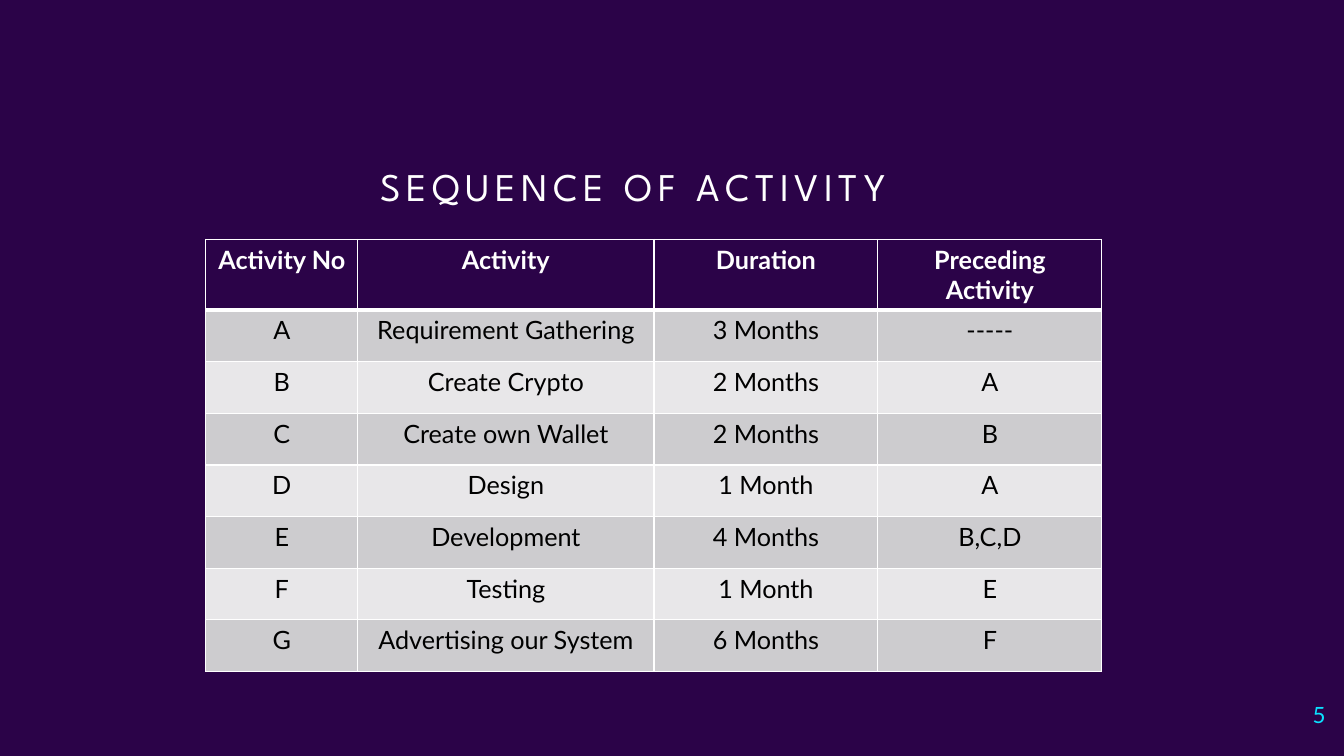
from typing import NamedTuple

from lxml.etree import SubElement
from pptx import Presentation
from pptx.dml.color import RGBColor
from pptx.enum.text import MSO_ANCHOR, PP_ALIGN
from pptx.oxml.ns import qn
from pptx.util import Pt

COLORS = {
    "purple": "2B0348",
    "white": "FFFFFF",
    "black": "000000",
    "cyan": "0BE1FF",
    "band_dark": "CDCCCF",
    "band_light": "E8E7E9",
}
BODY_FONT = "Lato"
TITLE_FONT = "League Spartan"


class Activity(NamedTuple):
    number: str
    name: str
    duration: str
    preceding: str


class RowStyle(NamedTuple):
    fill: str
    color: str
    bold: bool
    top: float
    bottom: float


HEADER = Activity("Activity No", "Activity", "Duration", "Preceding Activity")
ACTIVITIES = [
    Activity("A", "Requirement Gathering", "3 Months", "-----"),
    Activity("B", "Create Crypto", "2 Months", "A"),
    Activity("C", "Create own Wallet", "2 Months", "B"),
    Activity("D", "Design", "1 Month", "A"),
    Activity("E", "Development", "4 Months", "B,C,D"),
    Activity("F", "Testing", "1 Month", "E"),
    Activity("G", "Advertising our System", "6 Months", "F"),
]
COLUMN_WIDTHS = [108.6, 211.5, 160, 160]
ROW_HEIGHT = 36.9


def rgb(name: str) -> RGBColor:
    return RGBColor.from_string(COLORS[name])


def format_paragraph(p, align, font: str, size: float, color: str, bold: bool = False) -> None:
    p.alignment = align
    p.font.name = font
    p.font.size = Pt(size)
    p.font.bold = bold
    p.font.color.rgb = rgb(color)


def add_borders(cell, top: float, bottom: float) -> None:
    """Draw white borders; call before setting the fill, which must follow them in the XML."""
    tc_pr = cell._tc.get_or_add_tcPr()
    for side, width in (("L", 1), ("R", 1), ("T", top), ("B", bottom)):
        ln = SubElement(tc_pr, qn(f"a:ln{side}"), w=str(Pt(width)))
        fill = SubElement(ln, qn("a:solidFill"))
        SubElement(fill, qn("a:srgbClr"), val=COLORS["white"])


def row_style(index: int) -> RowStyle:
    if index == 0:
        return RowStyle("purple", "white", True, 1, 3)
    band = "band_dark" if index % 2 else "band_light"
    return RowStyle(band, "black", False, 3 if index == 1 else 1, 1)


def add_title(slide) -> None:
    title = slide.shapes.title
    title.left, title.top, title.width, title.height = Pt(217.5), Pt(116), Pt(470), Pt(45.4)
    tf = title.text_frame
    tf.word_wrap = True
    tf.vertical_anchor = MSO_ANCHOR.TOP
    p = tf.paragraphs[0]
    r = p.add_run()
    r.text = "SEQUENCE OF ACTIVITY"
    r.font._element.set("spc", "400")
    p.line_spacing = 0.9
    format_paragraph(p, PP_ALIGN.CENTER, TITLE_FONT, 28, "white")


def add_activity_table(slide) -> None:
    rows = [HEADER, *ACTIVITIES]
    table = slide.shapes.add_table(
        len(rows), len(COLUMN_WIDTHS), Pt(147), Pt(171),
        Pt(sum(COLUMN_WIDTHS)), Pt(ROW_HEIGHT * len(rows)),
    ).table
    for column, width in zip(table.columns, COLUMN_WIDTHS):
        column.width = Pt(width)
    for i, activity in enumerate(rows):
        style = row_style(i)
        table.rows[i].height = Pt(ROW_HEIGHT)
        for j, text in enumerate(activity):
            cell = table.cell(i, j)
            cell.text = text
            add_borders(cell, style.top, style.bottom)
            cell.fill.solid()
            cell.fill.fore_color.rgb = rgb(style.fill)
            format_paragraph(cell.text_frame.paragraphs[0], PP_ALIGN.CENTER,
                             BODY_FONT, 18, style.color, style.bold)


def add_page_number(slide) -> None:
    tf = slide.shapes.add_textbox(Pt(911), Pt(487.5), Pt(43), Pt(45.4)).text_frame
    tf.word_wrap = True
    tf.vertical_anchor = MSO_ANCHOR.MIDDLE
    p = tf.paragraphs[0]
    p.text = "5"
    format_paragraph(p, PP_ALIGN.RIGHT, BODY_FONT, 16, "cyan")


def main() -> None:
    prs = Presentation()
    prs.slide_width, prs.slide_height = Pt(960), Pt(540)
    slide = prs.slides.add_slide(prs.slide_layouts[5])
    slide.background.fill.solid()
    slide.background.fill.fore_color.rgb = rgb("purple")
    add_title(slide)
    add_page_number(slide)
    add_activity_table(slide)
    prs.save("out.pptx")


if __name__ == "__main__":
    main()
